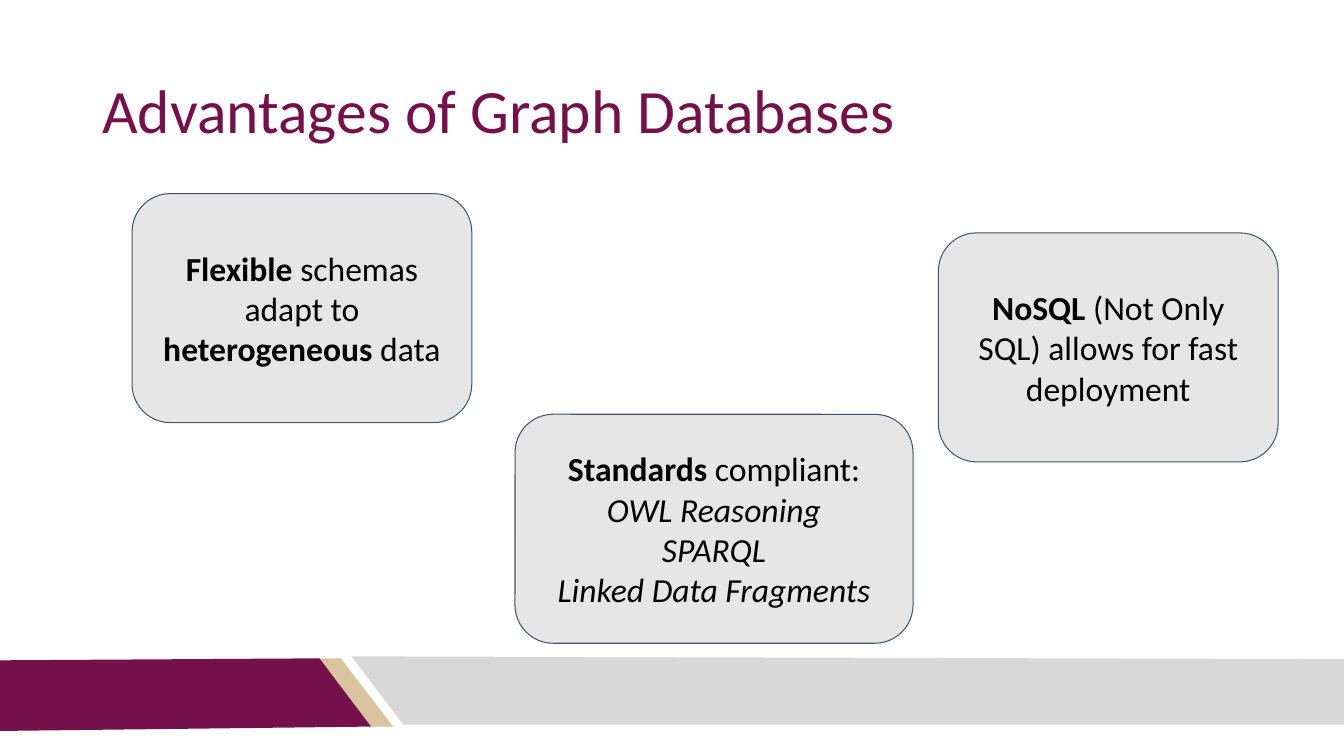
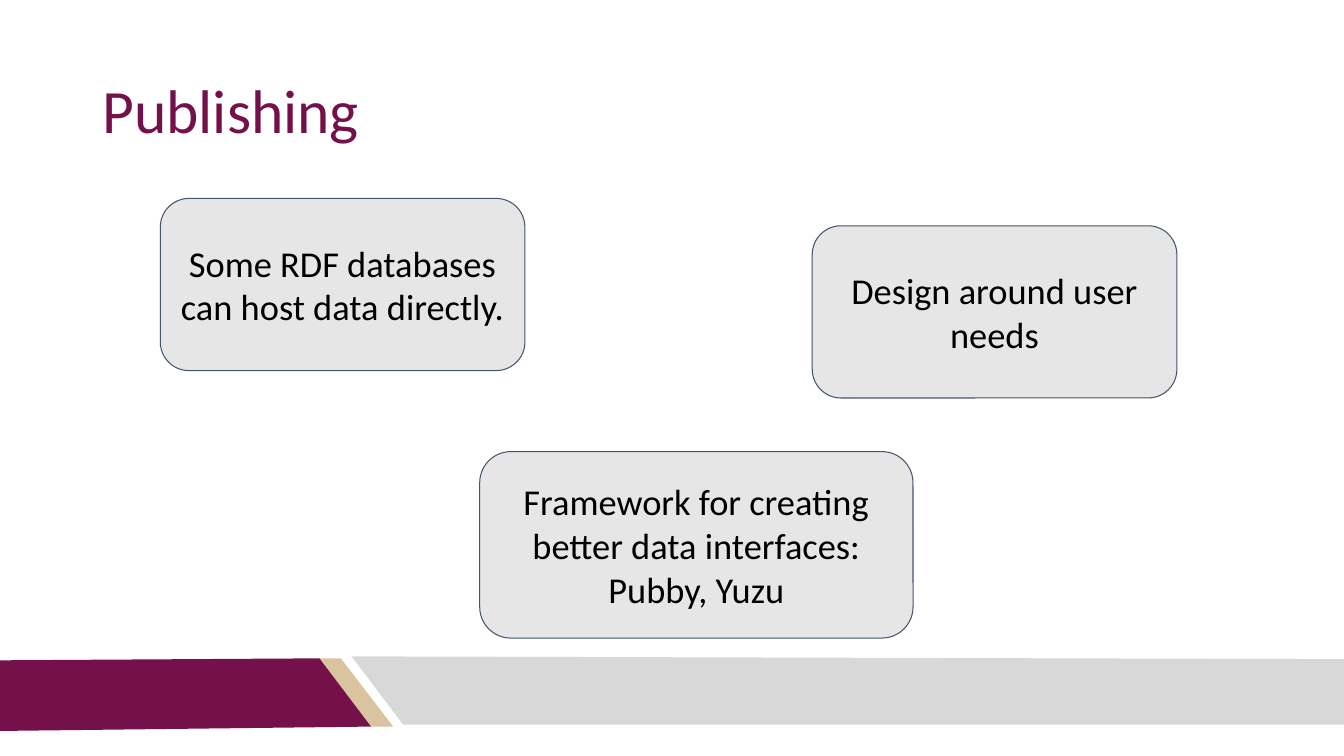
from pptx import Presentation
from pptx.dml.color import RGBColor
from pptx.enum import text
from pptx.util import Cm, Pt

FONT = "Calibri"
MAROON = RGBColor(0x75, 0x11, 0x4A)
GOLD = RGBColor(0xD9, 0xC4, 0x9F)
SILVER = RGBColor(0xD8, 0xD8, 0xD8)
CARD_FILL = RGBColor(0xE7, 0xE6, 0xE6)
CARD_LINE = RGBColor(0x44, 0x54, 0x6A)
BLACK = RGBColor(0, 0, 0)

WIDTH, HEIGHT = 33.87, 19.05
TITLE_BOX = dict(left=Cm(2.33), top=Cm(1.01), width=Cm(29.21), height=Cm(3.68))
FRAME = dict(
    word_wrap=True,
    auto_size=text.MSO_AUTO_SIZE.NONE,
    vertical_anchor=text.MSO_ANCHOR.MIDDLE,
    margin_left=Cm(0.25),
    margin_right=Cm(0.25),
    margin_top=Cm(0.25),
    margin_bottom=Cm(0.25),
)
BANDS = [
    (GOLD, [(8.03, 16.59), (8.59, 16.59), (9.91, 18.31), (9.32, 18.31)]),
    (MAROON, [(0, 16.64), (8.05, 16.59), (9.35, 18.31), (0, 18.42)]),
    (SILVER, [(WIDTH, 18.26), (10.16, 18.26), (8.86, 16.54), (WIDTH, 16.61)]),
]
PLAIN, BOLD, ITALIC = {}, {"bold": True}, {"italic": True}

SLIDES = [
    ("Advantages of Graph Databases", 24, [
        ((3.33, 4.88, 8.56, 5.77), [
            [("Flexible", BOLD), (" schemas adapt to ", PLAIN),
             ("heterogeneous", BOLD), (" data", PLAIN)],
        ]),
        ((12.98, 10.44, 10.03, 5.77), [
            [("Standards", BOLD), (" compliant:", PLAIN)],
            [("OWL Reasoning", ITALIC)],
            [("SPARQL", ITALIC)],
            [("Linked Data Fragments", ITALIC)],
        ]),
        ((23.65, 5.87, 8.56, 5.77), [
            [("NoSQL", BOLD),
             (" (Not Only SQL) allows for fast deployment", PLAIN)],
        ]),
    ]),
    ("Publishing", 26, [
        ((4.04, 5, 9.19, 4.34), [
            [("Some RDF databases can host data directly.", PLAIN)],
        ]),
        ((12.09, 11.38, 10.92, 4.7), [
            [("Framework for creating better data interfaces:", PLAIN)],
            [("Pubby, Yuzu", PLAIN)],
        ]),
        ((20.47, 5.69, 9.19, 4.34), [
            [("Design around user needs", PLAIN)],
        ]),
    ]),
]


def set_format(obj, values):
    for name, value in values.items():
        setattr(obj, name, value)


def set_font(font, size, color, style=PLAIN):
    set_format(font, {"name": FONT, "size": Pt(size), **style})
    font.color.rgb = color


def paint(sp, fill):
    sp.shadow.inherit = False
    sp.fill.solid()
    sp.fill.fore_color.rgb = fill


def add_band(s, fill, points):
    start, *rest = [(Cm(x), Cm(y)) for x, y in points]
    builder = s.shapes.build_freeform(*start)
    builder.add_line_segments(rest)
    sp = builder.convert_to_shape()
    paint(sp, fill)
    sp.line.fill.background()


def set_title(s, title):
    sp = s.shapes.title
    set_format(sp, TITLE_BOX)
    set_format(sp.text_frame, FRAME)
    p = sp.text_frame.paragraphs[0]
    set_format(p, {"alignment": text.PP_ALIGN.LEFT, "line_spacing": 0.9})
    r = p.add_run()
    r.text = title
    set_font(r.font, 44, MAROON)


def add_card(s, box, paragraphs, size):
    sp = s.shapes.add_shape(MSO_SHAPE.ROUNDED_RECTANGLE, *map(Cm, box))
    paint(sp, CARD_FILL)
    sp.line.color.rgb = CARD_LINE
    sp.line.width = Pt(0.75)
    tf = sp.text_frame
    set_format(tf, FRAME)
    for i, runs in enumerate(paragraphs):
        p = tf.add_paragraph() if i else tf.paragraphs[0]
        p.alignment = text.PP_ALIGN.CENTER
        for words, style in runs:
            r = p.add_run()
            r.text = words
            set_font(r.font, size, BLACK, style)


def add_slide(prs, title, size, cards):
    s = prs.slides.add_slide(prs.slide_layouts.get_by_name("Title Only"))
    for fill, points in BANDS:
        add_band(s, fill, points)
    set_title(s, title)
    for box, paragraphs in cards:
        add_card(s, box, paragraphs, size)


def main():
    prs = Presentation()
    prs.slide_width, prs.slide_height = Cm(WIDTH), Cm(HEIGHT)
    for title, size, cards in SLIDES:
        add_slide(prs, title, size, cards)
    prs.save("out.pptx")


from pptx.enum.shapes import MSO_SHAPE

if __name__ == "__main__":
    main()
